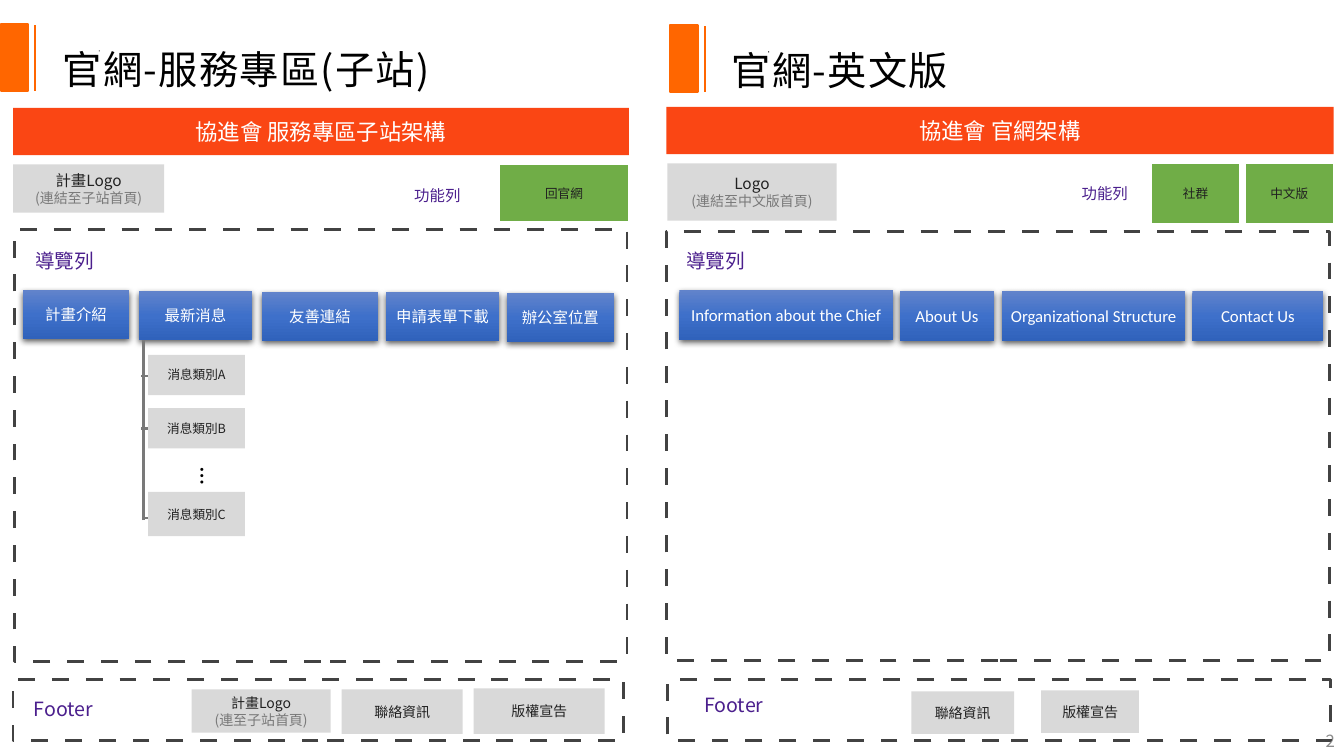
import copy
import dataclasses
import typing

import lxml.etree
import pptx
import pptx.dml.color
import pptx.enum.shapes
import pptx.enum.text
import pptx.oxml.ns
import pptx.util

CELL = pptx.util.Inches(0.1)
COLUMNS, ROWS = 133.33, 75
NOTO, CALIBRI = "Noto Sans CJK SC", "Calibri"
COLOURS = {
    "white": "FFFFFF", "black": "000000", "ink": "212121", "note": "797979",
    "number": "8C8C8C", "purple": "4B1F8D", "orange": "FF6600", "banner": "FA4614",
    "page": "D9D9D9", "button": "70AD47", "frame": "424242",
    "top": "6183CB", "middle": "3E70CA", "bottom": "3062BB",
}
ALIGN = pptx.enum.text.PP_ALIGN
MIDDLE = pptx.enum.text.MSO_ANCHOR.MIDDLE


class Place(typing.NamedTuple):
    """Left, top, width and height in grid columns and rows."""
    left: float
    top: float
    width: float
    height: float


@dataclasses.dataclass
class Style:
    """Look shared by all boxes of one kind."""
    fill: str = ""
    outline: str = ""
    outline_width: float = 1.5
    dashed: bool = False
    raised: bool = False
    size: float = 10
    colour: str = "ink"
    font: str = NOTO


@dataclasses.dataclass
class Box:
    """One box of the site map; the note is a second, grey line."""
    style: str
    place: Place
    text: str = ""
    size: float = 0
    note: str = ""


STYLES = {
    "mark": Style(fill="orange", outline="orange"),
    "dot": Style(fill="black"),
    "banner": Style(fill="banner", size=16, colour="white"),
    "frame": Style(outline="frame", outline_width=2, dashed=True),
    "heading": Style(size=14, colour="purple"),
    "function": Style(size=11, colour="purple"),
    "page": Style(fill="page"),
    "news": Style(fill="page", size=9),
    "button": Style(fill="button", outline="white", size=9),
    "tab": Style(raised=True, size=11, colour="white"),
    "english tab": Style(raised=True, size=12, colour="white", font=CALIBRI),
}

SUBSITE = [
    Box("banner", Place(1.3, 10.7, 61.1, 4.7), "協進會 服務專區子站架構"),
    Box("frame", Place(1.3, 67.4, 60.6, 6.1)),
    Box("heading", Place(2.7, 68.9, 7.2, 2.9), "Footer"),
    Box("page", Place(33.9, 68.4, 12, 4.4), "聯絡資訊"),
    Box("page", Place(19, 68.4, 13.8, 4.3), "計畫Logo", note="(連至子站首頁)"),
    Box("page", Place(47, 68.3, 13, 4.5), "版權宣告"),
    Box("page", Place(1.3, 16.3, 15, 4.8), "計畫Logo", 11, "(連結至子站首頁)"),
    Box("function", Place(38.1, 17.1, 10.6, 4.5), "功能列"),
    Box("frame", Place(1.4, 22.8, 60.8, 42.8)),
    Box("button", Place(49.5, 16.3, 12.9, 5.7), "回官網"),
    Box("tab", Place(26, 29, 11.5, 4.8), "友善連結"),
    Box("tab", Place(38.3, 29, 11.2, 4.8), "申請表單下載"),
    Box("tab", Place(2.3, 28.8, 10.5, 4.8), "計畫介紹"),
    Box("tab", Place(50.3, 29.1, 10.6, 4.8), "辦公室位置"),
    Box("heading", Place(2.9, 24.4, 7, 2.9), "導覽列"),
]
NEWS_TAB = Box("tab", Place(13.8, 28.9, 11.2, 4.8), "最新消息")
NEWS_LINES = [(14.2, 51.6, 14.2, 33.7), (14, 42.5, 15.2, 42.5),
              (14, 37.3, 15.2, 37.3), (14.4, 51.4, 15.2, 51.4)]
NEWS_PAGES = [Box("news", Place(14.7, top, 9.6, height), "消息類別" + letter)
              for letter, top, height in (("A", 35.2, 4), ("B", 40.5, 4), ("C", 48.8, 4.4))]
ENGLISH = [
    Box("banner", Place(66.1, 10.6, 66.2, 4.7), "協進會 官網架構"),
    Box("page", Place(66.2, 16.2, 16.8, 5.7), "Logo", 11, "(連結至中文版首頁)"),
    Box("frame", Place(66.1, 23, 65.8, 42.5)),
    Box("heading", Place(67.5, 24.4, 7, 2.9), "導覽列"),
    Box("frame", Place(66.2, 67.4, 65.8, 6.1)),
    Box("heading", Place(69.2, 68.5, 7.2, 2.9), "Footer"),
    Box("page", Place(90.4, 68.6, 10.2, 4.2), "聯絡資訊"),
    Box("page", Place(103.3, 68.5, 9.7, 4.2), "版權宣告"),
    Box("function", Place(106.2, 17.4, 6.8, 3.5), "功能列"),
    Box("button", Place(123.5, 16.2, 8.8, 6), "中文版"),
    Box("button", Place(114.2, 16.2, 8.8, 6), "社群"),
]
ENGLISH_TABS = [
    Box("english tab", Place(67.4, 28.8, 21.2, 4.9), "Information about the Chief"),
    Box("english tab", Place(89.3, 28.9, 9.3, 4.9), "About Us"),
    Box("english tab", Place(99.4, 28.9, 18.2, 4.9), "Organizational Structure"),
    Box("english tab", Place(118.3, 28.9, 13, 4.9), "Contact Us"),
]


def grid(*cells: float) -> list[int]:
    """Turn grid cells into lengths."""
    return [round(cell * CELL) for cell in cells]


def rgb(name: str) -> pptx.dml.color.RGBColor:
    """Look up a named colour."""
    return pptx.dml.color.RGBColor.from_string(COLOURS[name])


def add_element(parent, tag: str, **attributes: str):
    """Append a drawing element."""
    return lxml.etree.SubElement(parent, pptx.oxml.ns.qn(tag), attributes)


def add_run(paragraph, text: str, size: float, colour: str, font: str = NOTO):
    """Add one formatted run for Latin and East Asian text."""
    run = paragraph.add_run()
    run.text = text
    run.font.size = pptx.util.Pt(size)
    run.font.bold = False
    run.font.color.rgb = rgb(colour)
    run.font.name = font
    add_element(run.font._element, "a:ea", typeface=font)
    return run


def raise_shape(shape) -> None:
    """Give a tab its blue gradient and soft shadow."""
    shape.fill.gradient()
    shape.fill.gradient_angle = 270
    stops = shape._element.spPr.find(".//" + pptx.oxml.ns.qn("a:gsLst"))
    stops.insert(1, copy.deepcopy(stops[0]))
    for stop, position, colour in zip(shape.fill.gradient_stops, (0, 0.5, 1),
                                      ("top", "middle", "bottom")):
        stop.position = position
        stop.color.rgb = rgb(colour)
    effects = shape._element.spPr.find(pptx.oxml.ns.qn("a:effectLst"))
    shadow = add_element(effects, "a:outerShdw", blurRad="57150", dist="19050",
                         dir="5400000", rotWithShape="0")
    add_element(add_element(shadow, "a:srgbClr", val=COLOURS["black"]), "a:alpha", val="63000")


def draw_box(shapes, box: Box) -> None:
    """Draw a box with its centred text."""
    style = STYLES[box.style]
    if style.fill or style.outline or style.raised:
        shape = shapes.add_shape(pptx.enum.shapes.MSO_SHAPE.RECTANGLE, *grid(*box.place))
        shape.shadow.inherit = False
        if style.outline:
            shape.line.color.rgb = rgb(style.outline)
            shape.line.width = pptx.util.Pt(style.outline_width)
        else:
            shape.line.fill.background()
        if style.raised:
            raise_shape(shape)
        elif style.fill:
            shape.fill.solid()
            shape.fill.fore_color.rgb = rgb(style.fill)
        else:
            shape.fill.background()
        if style.dashed:
            dashes = add_element(shape.line._get_or_add_ln(), "a:custDash")
            add_element(dashes, "a:ds", d="600000", sp="600000")
    else:
        shape = shapes.add_textbox(*grid(*box.place))
    if not box.text:
        return
    frame = shape.text_frame
    frame.word_wrap = True
    frame.vertical_anchor = MIDDLE
    frame.margin_left = frame.margin_right = frame.margin_top = frame.margin_bottom = 0
    paragraph = frame.paragraphs[0]
    paragraph.alignment = ALIGN.CENTER
    add_run(paragraph, box.text, box.size or style.size, style.colour, style.font)
    if box.note:
        paragraph = frame.add_paragraph()
        paragraph.alignment = ALIGN.CENTER
        add_run(paragraph, box.note, 10, "note")


def draw_line(shapes, ends: tuple, colour: str, width: float) -> None:
    """Draw a straight line between two grid points."""
    line = shapes.add_connector(pptx.enum.shapes.MSO_CONNECTOR.STRAIGHT, *grid(*ends))
    line.line.color.rgb = rgb(colour)
    line.line.width = pptx.util.Pt(width)
    add_element(line._element.spPr, "a:effectLst")


def draw_title(shapes, placeholder, text: str, place: Place, mark_left: float) -> None:
    """Fill a heading placeholder and draw the orange marks beside it."""
    placeholder.left, placeholder.top, placeholder.width, placeholder.height = grid(*place)
    frame = placeholder.text_frame
    frame.auto_size = pptx.enum.text.MSO_AUTO_SIZE.NONE
    frame.vertical_anchor = MIDDLE
    paragraph = frame.paragraphs[0]
    paragraph.alignment = ALIGN.LEFT
    paragraph.line_spacing = 1.5
    paragraph.space_before = pptx.util.Pt(0)
    add_run(paragraph, text, 28, "black").font._element.set("spc", "100")
    top = place.top + 1.2
    draw_line(shapes, (mark_left + 3.4, top + 0.1, mark_left + 3.4, top + 6.6), "orange", 1.5)
    draw_box(shapes, Box("mark", Place(mark_left, top, 2.7, 6.6)))
    draw_box(shapes, Box("dot", Place(mark_left + 9.7, top + 2.6, 0.1, 0.1)))


def draw_news(shapes) -> None:
    """Draw the news tab with its branch of categories."""
    draw_box(shapes, NEWS_TAB)
    for ends in NEWS_LINES:
        draw_line(shapes, ends, "note", 2)
    for box in NEWS_PAGES:
        draw_box(shapes, box)
    frame = shapes.add_textbox(*grid(15, 45.4, 7.9, 4.8)).text_frame
    frame.word_wrap = False
    frame._txBody.bodyPr.set("vert", "eaVert")
    add_run(frame.paragraphs[0], "…", 18, "black", CALIBRI)


presentation = pptx.Presentation()
presentation.slide_width, presentation.slide_height = grid(COLUMNS, ROWS)
slide = presentation.slides.add_slide(presentation.slide_layouts.get_by_name("Section Header"))
number = slide.shapes.add_textbox(*grid(127.9, 71.5, 5.5, 4)).text_frame
number.word_wrap = True
number.vertical_anchor = MIDDLE
number.paragraphs[0].alignment = ALIGN.RIGHT
add_run(number.paragraphs[0], "2", 12, "number")
draw_title(slide.shapes, slide.shapes.title, "官網-服務專區(子站)", Place(5.2, 1.2, 57.3, 9), 0.1)
draw_title(slide.shapes, slide.placeholders[1], "官網-英文版", Place(71.6, 1.3, 60.3, 9), 66.5)
for site_box in SUBSITE + ENGLISH:
    draw_box(slide.shapes, site_box)
draw_news(slide.shapes.add_group_shape().shapes)
english_tabs = slide.shapes.add_group_shape().shapes
for tab_box in ENGLISH_TABS:
    draw_box(english_tabs, tab_box)
presentation.save("out.pptx")
